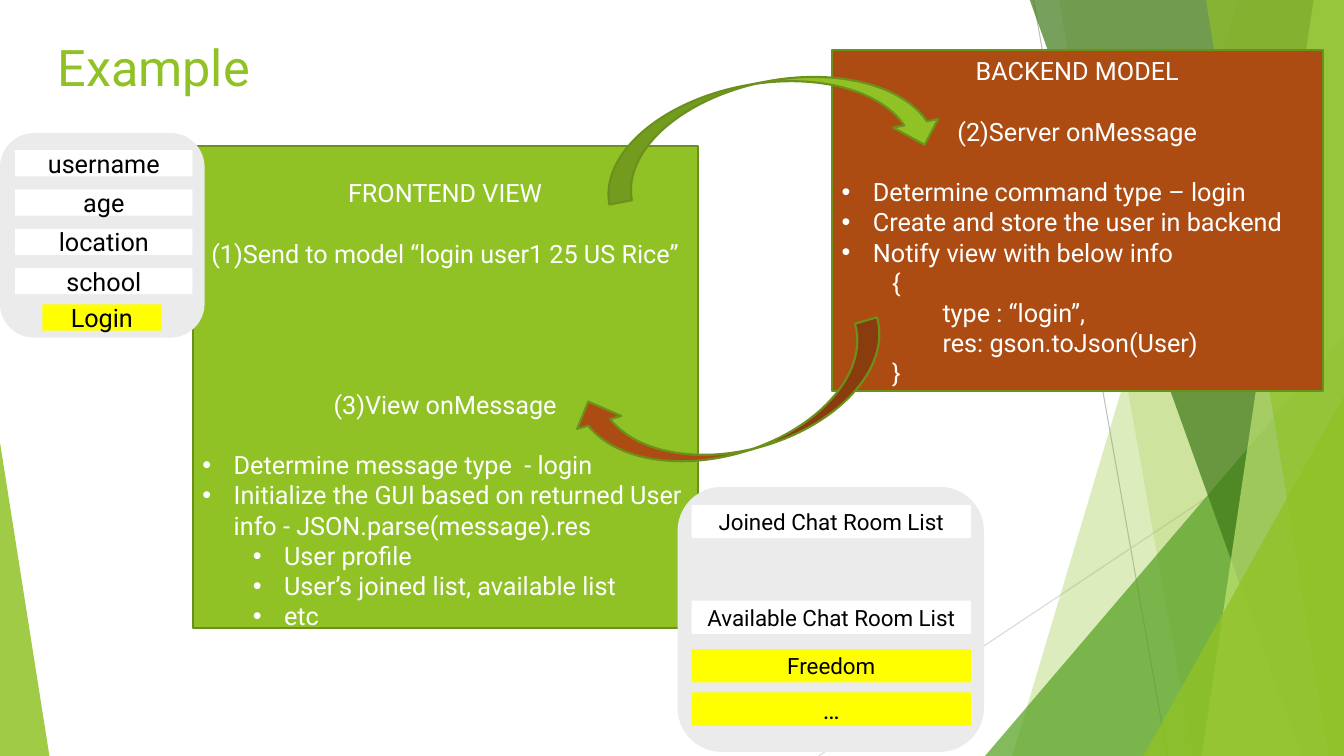
"""Build the login example slide: frontend view and backend model exchanging messages."""
from dataclasses import dataclass

from pptx import Presentation
from pptx.dml.color import RGBColor
from pptx.enum.shapes import MSO_CONNECTOR, MSO_SHAPE
from pptx.enum.text import MSO_ANCHOR as ANCHOR, PP_ALIGN as ALIGN
from pptx.oxml.ns import qn
from pptx.util import Inches, Pt
from lxml.etree import SubElement


@dataclass(frozen=True)
class Theme:
    font: str = "Roboto"
    green: str = "90C226"
    outline: str = "6B901C"
    rust: str = "AD4C12"
    panel: str = "EBEBEB"
    white: str = "FFFFFF"
    yellow: str = "FFFF00"
    black: str = "000000"
    leaf: str = "54A021"
    forest: str = "3F7819"
    lime: str = "C0E474"
    title: int = 36
    body: int = 18
    small: int = 16
    line_pitch: float = 21.6


theme = Theme()


def paint(shape, fill, outline=None, opacity=100):
    """Give a shape its fill, outline and opacity, without a shadow."""
    shape.shadow.inherit = False
    shape.fill.solid()
    shape.fill.fore_color.rgb = RGBColor.from_string(fill)
    if opacity < 100:
        color = shape._element.spPr.find(".//" + qn("a:srgbClr"))
        SubElement(color, qn("a:alpha"), val=str(opacity * 1000))
    if outline:
        shape.line.color.rgb = RGBColor.from_string(outline)
        shape.line.width = Pt(1.5)
    else:
        shape.line.fill.background()


def write(paragraph, text, size, color, align=ALIGN.CENTER):
    """Put one formatted run into a paragraph."""
    run = paragraph.add_run()
    run.text = text
    paragraph.alignment = align
    for name, value in {"name": theme.font, "size": Pt(size)}.items():
        setattr(run.font, name, value)
    run.font.color.rgb = RGBColor.from_string(color)


presentation = Presentation()
presentation.slide_width = Inches(13.33)
presentation.slide_height = Inches(7.5)
slide = presentation.slides.add_slide(presentation.slide_layouts[5])
shapes = slide.shapes

for start_x, start_y, end_x, end_y, color in [
    (10.25, 0, 11.58, 7.5, "BFBFBF"),
    (13.33, 4.03, 8.12, 7.5, "D9D9D9"),
]:
    ray = shapes.add_connector(
        MSO_CONNECTOR.STRAIGHT, Inches(start_x), Inches(start_y), Inches(end_x), Inches(end_y)
    )
    ray.line.color.rgb = RGBColor.from_string(color)
    ray.line.width = Pt(0.75)
    SubElement(ray._element.spPr, qn("a:effectLst"))

BAND, TRIANGLE = "band", "triangle"
facets = [
    (BAND, (12.28, 10.04), theme.green, 30),
    (BAND, (10.5, 11.83), theme.green, 20),
    (TRIANGLE, (9.77, 3.33, 3.56, 4.17, 1), theme.leaf, 72),
    (BAND, (10.21, 12.91), theme.forest, 70),
    (BAND, (13.03, 11.92), theme.lime, 70),
    (BAND, (11.96, 13.18), theme.green, 65),
    (TRIANGLE, (11.34, 3.93, 1.99, 3.57, 1), theme.green, 80),
    (TRIANGLE, (0, 4.39, 0.49, 3.11, 0), theme.green, 85),
]
for kind, geometry, color, opacity in facets:
    if kind == BAND:
        top_x, bottom_x = geometry
        builder = shapes.build_freeform(Inches(top_x), Inches(-0.01))
        corners = [(13.33, -0.01), (13.33, 7.5), (bottom_x, 7.5)]
        builder.add_line_segments([(Inches(x), Inches(y)) for x, y in corners])
        facet = builder.convert_to_shape()
    else:
        *box, apex = geometry
        facet = shapes.add_shape(MSO_SHAPE.ISOSCELES_TRIANGLE, *map(Inches, box))
        facet.adjustments[0] = apex
    paint(facet, color, opacity=opacity)

title = shapes.title
for name, value in {"left": 0.47, "top": 0.31, "width": 9.4, "height": 1.44}.items():
    setattr(title, name, Inches(value))
title.text_frame.vertical_anchor = ANCHOR.TOP
write(title.text_frame.paragraphs[0], "Example", theme.title, theme.green, ALIGN.LEFT)

styles = {
    "center": (0, 0, 0, False),
    "bullet": (0, 0.31, -0.31, True),
    "sub": (1, 0.81, -0.31, True),
    "brace": (1, 0.5, 0, False),
    "field": (2, 1, 0, False),
}
frontend_lines = [
    ("center", 0, "FRONTEND VIEW"),
    ("center", 1, "(1)Send to model “login user1 25 US Rice”"),
    ("center", 4, "(3)View onMessage"),
    ("bullet", 1, "Determine message type  - login"),
    ("bullet", 0, "Initialize the GUI based on returned User info - JSON.parse(message).res"),
    ("sub", 0, "User profile"),
    ("sub", 0, "User’s joined list, available list"),
    ("sub", 0, "etc"),
]
backend_lines = [
    ("center", 0, "BACKEND MODEL"),
    ("center", 1, "(2)Server onMessage"),
    ("bullet", 1, "Determine command type – login"),
    ("bullet", 0, "Create and store the user in backend"),
    ("bullet", 0, "Notify view with below info"),
    ("brace", 0, "{"),
    ("field", 0, "type : “login”,"),
    ("field", 0, "res: gson.toJson(User)"),
    ("brace", 0, "}"),
]
for box, color, margin_top, lines in [
    ((1.91, 1.45, 5.01, 4.78), theme.green, 0.31, frontend_lines),
    ((8.25, 0.5, 4.87, 3.38), theme.rust, 0.05, backend_lines),
]:
    block = shapes.add_shape(MSO_SHAPE.RECTANGLE, *map(Inches, box))
    paint(block, color, theme.outline)
    frame = block.text_frame
    frame.word_wrap = True
    frame.vertical_anchor = ANCHOR.TOP
    frame.margin_top, frame.margin_bottom = Inches(margin_top), 0
    for index, (style, gap, text) in enumerate(lines):
        level, margin, indent, bulleted = styles[style]
        paragraph = frame.paragraphs[0] if index == 0 else frame.add_paragraph()
        align = ALIGN.CENTER if style == "center" else ALIGN.LEFT
        write(paragraph, text, theme.body, theme.white, align)
        paragraph.level = level
        paragraph.space_before = Pt(gap * theme.line_pitch)
        properties = paragraph._p.get_or_add_pPr()
        properties.set("marL", str(Inches(margin)))
        properties.set("indent", str(Inches(indent)))
        if bulleted:
            SubElement(properties, qn("a:buFont"), typeface="Arial")
            SubElement(properties, qn("a:buChar"), char="•")

login_rows = [
    (0.15, 1.49 + 0.39 * row, 1.76, 0.26, label, theme.white, theme.body)
    for row, label in enumerate(["username", "age", "location", "school"])
]
login_rows.append((0.42, 3.02, 1.18, 0.26, "Login", theme.yellow, theme.body))
room_rows = [
    (6.86, top, 2.77, 0.33, label, color, size)
    for top, label, color, size in [
        (5.01, "Joined Chat Room List", theme.white, theme.small),
        (5.96, "Available Chat Room List", theme.white, theme.small),
        (6.44, "Freedom", theme.yellow, theme.small),
        (6.87, "…", theme.yellow, theme.body),
    ]
]
arrows = [
    ((5.93, 0.81, 3.41, 0.91), 349.3, theme.green),
    ((5.68, 3.58, 3.21, 0.91), 163.7, theme.rust),
]
for panel_box, rows, panel_arrows in [
    ((0, 1.32, 2.03, 2.03), login_rows, arrows),
    ((6.72, 4.83, 3.04, 2.63), room_rows, []),
]:
    group = shapes.add_group_shape()
    panel = group.shapes.add_shape(MSO_SHAPE.ROUNDED_RECTANGLE, *map(Inches, panel_box))
    paint(panel, theme.panel)
    for *box, label, color, size in rows:
        field = group.shapes.add_shape(MSO_SHAPE.RECTANGLE, *map(Inches, box))
        paint(field, color)
        field.text_frame.word_wrap = True
        field.text_frame.vertical_anchor = ANCHOR.MIDDLE
        write(field.text_frame.paragraphs[0], label, size, theme.black)
    for box, rotation, color in panel_arrows:
        arrow = shapes.add_shape(MSO_SHAPE.CURVED_DOWN_ARROW, *map(Inches, box))
        arrow.rotation = rotation
        paint(arrow, color, theme.outline)

presentation.save("out.pptx")
